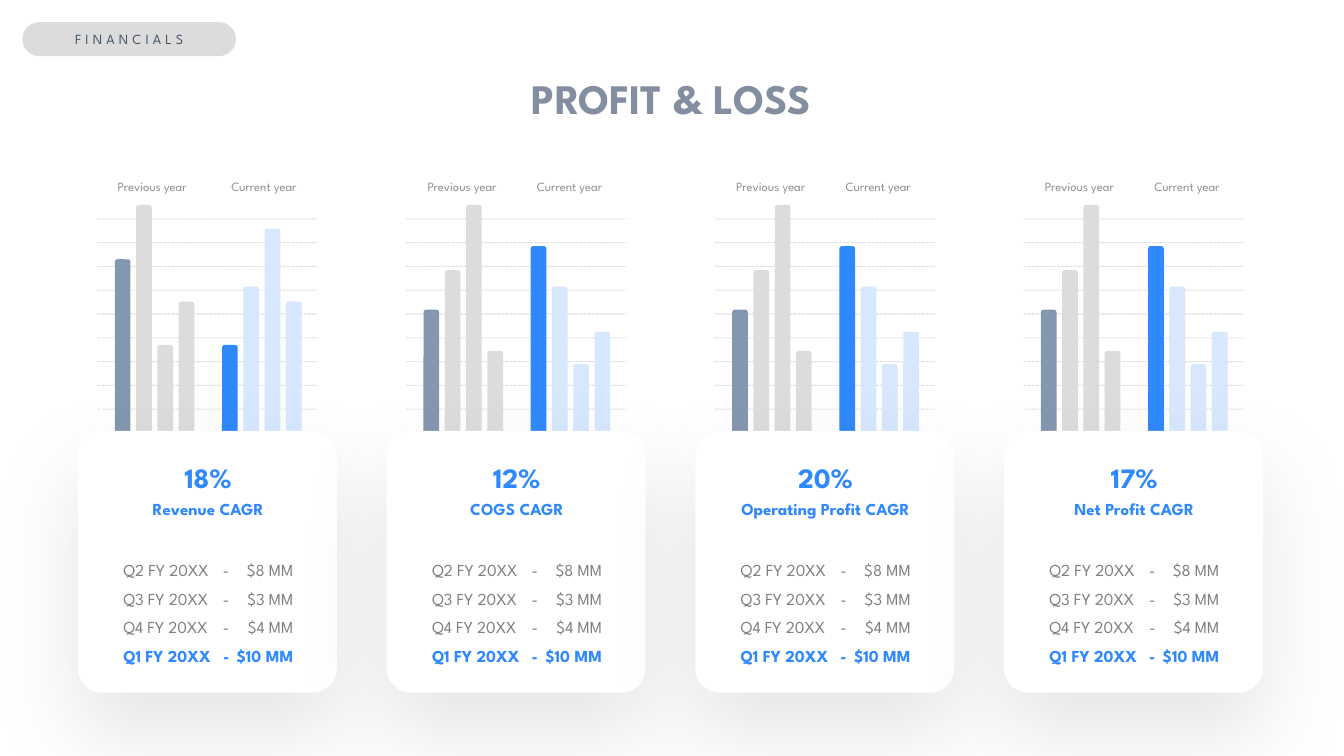
from dataclasses import dataclass

from lxml import etree
from pptx import Presentation
from pptx.dml.color import RGBColor
from pptx.enum.dml import MSO_LINE
from pptx.enum.shapes import MSO_CONNECTOR, MSO_SHAPE
from pptx.enum.text import MSO_ANCHOR, MSO_AUTO_SIZE, PP_ALIGN
from pptx.oxml.ns import qn
from pptx.shapes.autoshape import Shape
from pptx.slide import Slide
from pptx.util import Pt

RECT, ROUNDED = MSO_SHAPE.RECTANGLE, MSO_SHAPE.ROUNDED_RECTANGLE
STRAIGHT = MSO_CONNECTOR.STRAIGHT
SHORT_DASH = MSO_LINE.SQUARE_DOT
LEFT, CENTER = PP_ALIGN.LEFT, PP_ALIGN.CENTER
MIDDLE = MSO_ANCHOR.MIDDLE
GROW = MSO_AUTO_SIZE.SHAPE_TO_FIT_TEXT

FONT = "League Spartan"
WHITE = RGBColor(0xFF, 0xFF, 0xFF)
BLACK = RGBColor(0x00, 0x00, 0x00)
TITLE_GREY = RGBColor(0x84, 0x8E, 0xA1)
TAG_TEXT = RGBColor(0x44, 0x54, 0x6A)
LABEL_GREY = RGBColor(0x8E, 0x8E, 0x8E)
QUARTER_GREY = RGBColor(0x80, 0x80, 0x80)
GRID_GREY = RGBColor(0xA6, 0xA6, 0xA6)
LIGHT_GREY = RGBColor(0xDC, 0xDC, 0xDC)
SLATE = RGBColor(0x84, 0x97, 0xB0)
BLUE = RGBColor(0x30, 0x89, 0xFC)
LIGHT_BLUE = RGBColor(0xD6, 0xE7, 0xFE)

PANEL_LEFT, PANEL_PITCH = 55.7, 220.5
CARD_TOP, CARD_WIDTH, CARD_HEIGHT = 307.8, 185, 187
GRID_TOP, GRID_STEP, GRID_COUNT, GRID_WIDTH = 156.3, 17, 9, 157.3
BAR_BOTTOM, BAR_WIDTH, BAR_PITCH = 311.2, 11.2, 15.2
PREVIOUS_OFFSET, CURRENT_OFFSET = 26.3, 102.9
LABEL_TOP, LABEL_WIDTH, LABEL_HEIGHT = 123.8, 73, 18.2

QUARTERS = [
    "Q2 FY 20XX\t-\t$8 MM",
    "Q3 FY 20XX\t-\t$3 MM",
    "Q4 FY 20XX\t-\t$4 MM",
    "Q1 FY 20XX\t-\t$10 MM",
]
QUARTER_TABS = [("ctr", 73.5), ("r", 121.5)]


@dataclass(frozen=True)
class Metric:
    """One panel; bar heights and label centres are in points."""
    name: str
    growth: str
    previous: tuple[float, ...] = (90, 118.2, 164.9, 60.5)
    current: tuple[float, ...] = (135.4, 106.5, 51.1, 74.2)
    label_centers: tuple[float, float] = (53.8, 130.6)


METRICS = [
    Metric("Revenue CAGR", "18%", (126, 164.9, 64.8, 95.8),
           (64.8, 106.4, 147.8, 95.8), (53, 132.8)),
    Metric("COGS CAGR", "12%"),
    Metric("Operating Profit CAGR", "20%"),
    Metric("Net Profit CAGR", "17%"),
]


def write_text(shape: Shape, *lines: str, size: float, color: RGBColor,
               bold: bool = False, align: PP_ALIGN = CENTER,
               spacing: float | None = None, tracking: float = 0,
               tabs: list[tuple[str, float]] | None = None,
               highlight: str | None = None) -> None:
    """Fill a shape with paragraphs; the highlighted line is bold blue."""
    frame = shape.text_frame
    frame.word_wrap = True
    for index, line in enumerate(lines):
        paragraph = frame.paragraphs[0] if index == 0 else frame.add_paragraph()
        if tabs:
            tab_list = etree.SubElement(paragraph._p.get_or_add_pPr(), qn("a:tabLst"))
            for kind, position in tabs:
                etree.SubElement(tab_list, qn("a:tab"), pos=str(Pt(position)), algn=kind)
        paragraph.alignment = align
        if spacing:
            paragraph.line_spacing = Pt(spacing)
        run = paragraph.add_run()
        run.text = line
        run.font.name = FONT
        run.font.size = Pt(size)
        run.font.bold = bold or line == highlight
        run.font.color.rgb = BLUE if line == highlight else color
        if tracking:
            run._r.get_or_add_rPr().set("spc", str(round(tracking * 100)))


def add_text_box(slide: Slide, left: float, top: float, width: float,
                 height: float) -> Shape:
    box = slide.shapes.add_textbox(Pt(left), Pt(top), Pt(width), Pt(height))
    box.text_frame.auto_size = GROW
    return box


def add_block(slide: Slide, kind: MSO_SHAPE, left: float, top: float, width: float,
              height: float, fill: RGBColor, rounding: float | None = None) -> Shape:
    block = slide.shapes.add_shape(kind, Pt(left), Pt(top), Pt(width), Pt(height))
    block.shadow.inherit = False
    block.fill.solid()
    block.fill.fore_color.rgb = fill
    block.line.fill.background()
    if rounding is not None:
        block.adjustments[0] = rounding
    return block


def set_alpha(color: etree._Element, percent: int) -> None:
    etree.SubElement(color, qn("a:alpha"), val=str(percent * 1000))


def add_grid_line(slide: Slide, left: float, top: float) -> None:
    grid_line = slide.shapes.add_connector(
        STRAIGHT, Pt(left), Pt(top), Pt(left + GRID_WIDTH), Pt(top))
    grid_line.line.color.rgb = GRID_GREY
    grid_line.line.width = Pt(0.75)
    grid_line.line.dash_style = SHORT_DASH
    properties = grid_line._element.spPr
    set_alpha(properties.find(".//" + qn("a:srgbClr")), 35)
    etree.SubElement(properties, qn("a:effectLst"))


def add_bars(slide: Slide, left: float, heights: tuple[float, ...],
             first_color: RGBColor, rest_color: RGBColor) -> None:
    for index, height in enumerate(heights):
        add_block(slide, ROUNDED, left + index * BAR_PITCH, BAR_BOTTOM - height,
                  BAR_WIDTH, height, rest_color if index else first_color)


def add_year_chart(slide: Slide, left: float, metric: Metric) -> None:
    for row in range(GRID_COUNT):
        add_grid_line(slide, left + 13.9, GRID_TOP + row * GRID_STEP)
    add_bars(slide, left + PREVIOUS_OFFSET, metric.previous, SLATE, LIGHT_GREY)
    add_bars(slide, left + CURRENT_OFFSET, metric.current, BLUE, LIGHT_BLUE)
    for year, center in zip(("Previous year", "Current year"), metric.label_centers):
        label = add_block(slide, RECT, left + center - LABEL_WIDTH / 2, LABEL_TOP,
                          LABEL_WIDTH, LABEL_HEIGHT, WHITE)
        write_text(label, year, size=9, color=LABEL_GREY)


def add_soft_shadow(card: Shape) -> None:
    effects = card._element.spPr.find(qn("a:effectLst"))
    shadow = etree.SubElement(
        effects, qn("a:outerShdw"), blurRad=str(Pt(66)), dist=str(Pt(30)),
        dir=str(90 * 60000), algn="t", rotWithShape="0")
    set_alpha(etree.SubElement(shadow, qn("a:srgbClr"), val=str(BLACK)), 9)


def add_card(slide: Slide, left: float, metric: Metric) -> None:
    card = add_block(slide, ROUNDED, left, CARD_TOP, CARD_WIDTH, CARD_HEIGHT, WHITE, 0.095)
    add_soft_shadow(card)
    write_text(add_text_box(slide, left + 16, 353, 154, 21.8), metric.name,
               size=12, color=BLUE, bold=True)
    write_text(add_text_box(slide, left + 41.5, 325.7, 103, 31.5), metric.growth,
               size=20, color=BLUE, bold=True)
    quarters = add_text_box(slide, left + 18.4, 390.5, 149, 85.7)
    quarters.text_frame.margin_left = Pt(14)
    write_text(quarters, *QUARTERS, size=12, color=QUARTER_GREY, align=LEFT,
               spacing=20.4, tabs=QUARTER_TABS, highlight=QUARTERS[-1])


def main() -> None:
    deck = Presentation()
    deck.slide_width, deck.slide_height = Pt(960), Pt(540)
    slide = deck.slides.add_slide(deck.slide_layouts[6])

    write_text(add_text_box(slide, 334, 44, 291.6, 44), "PROFIT & LOSS",
               size=30, color=TITLE_GREY, bold=True, spacing=40)
    section = add_block(slide, ROUNDED, 16, 15.8, 152.6, 24.3, LIGHT_GREY, 0.5)
    frame = section.text_frame
    frame.margin_left = frame.margin_right = frame.margin_top = frame.margin_bottom = 0
    frame.vertical_anchor = MIDDLE
    write_text(section, "FINANCIALS", size=10, color=TAG_TEXT, tracking=3)

    for add_part in (add_year_chart, add_card):
        for index, metric in enumerate(METRICS):
            add_part(slide, PANEL_LEFT + index * PANEL_PITCH, metric)

    deck.save("out.pptx")


if __name__ == "__main__":
    main()
